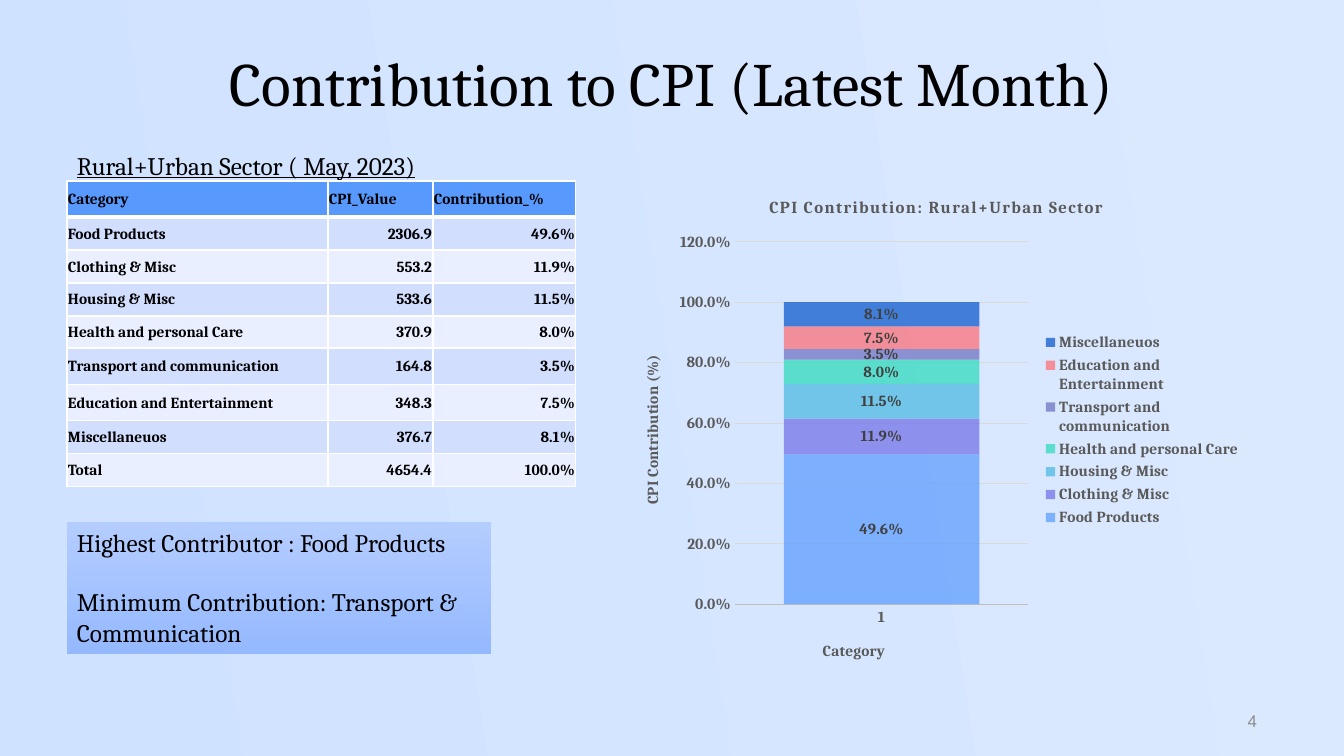
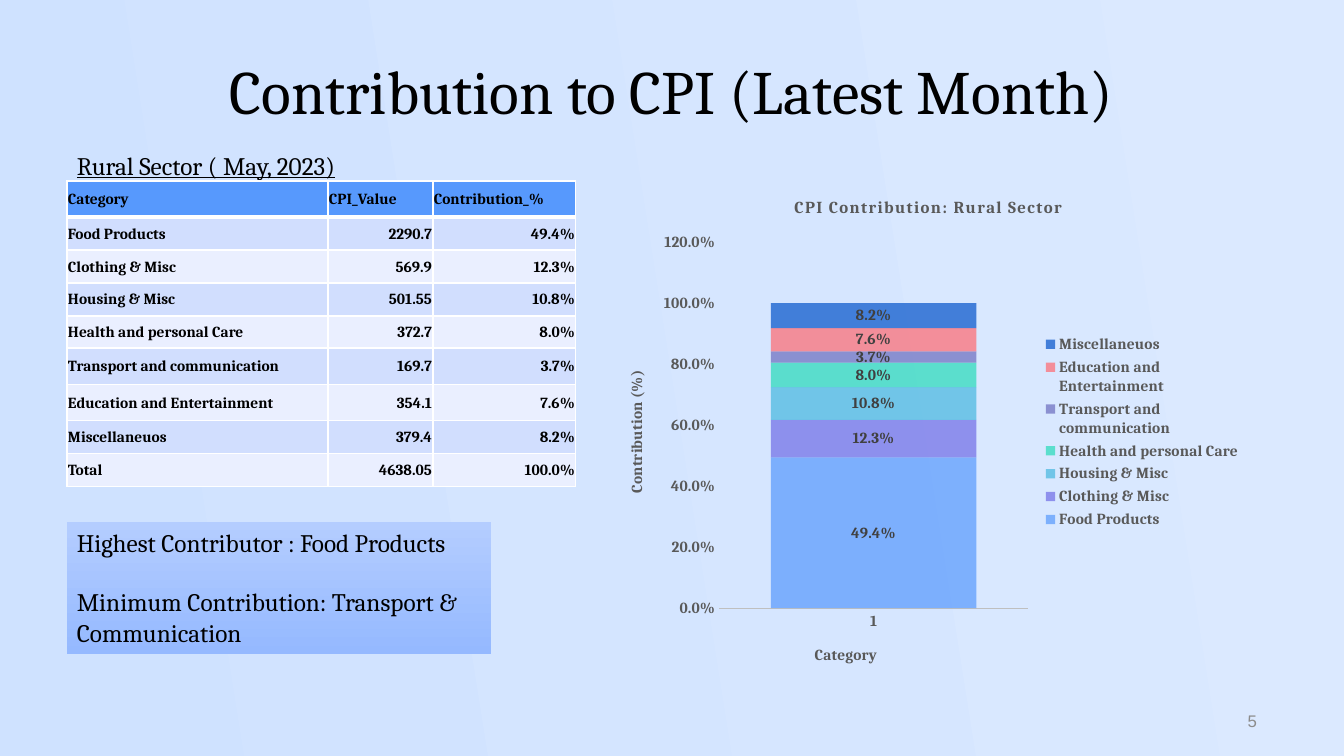
import dataclasses
import typing

import lxml.etree
import pptx
import pptx.chart.axis
import pptx.chart.data
import pptx.dml.color
import pptx.dml.fill
import pptx.enum.chart
import pptx.enum.shapes
import pptx.enum.text
import pptx.oxml
import pptx.oxml.ns
import pptx.slide
import pptx.table
import pptx.text.text
import pptx.util

SLIDE_WIDTH, SLIDE_HEIGHT = 1344, 756
EMU_PER_PX = 12192000 / SLIDE_WIDTH
ALIGN = pptx.enum.text.PP_ALIGN
ANCHOR = pptx.enum.text.MSO_ANCHOR


@dataclasses.dataclass(frozen=True)
class Theme:
    font: str = "Cambria"
    number_font: str = "Arial"
    text: str = "000000"
    chart_text: str = "595959"
    label_text: str = "404040"
    number_text: str = "8C8C8C"
    background: tuple[str, str] = ("CFE2FF", "DBE9FF")
    callout: tuple[str, str] = ("B4CDFF", "95B9FF")
    header: str = "5799FD"
    bands: tuple[str, str] = ("D1DEFE", "EAEFFF")
    border: str = "FFFFFF"
    axis_line: str = "BFBFBF"
    grid_line: str = "D9D9D9"
    title_size: int = 44
    body_size: int = 18
    chart_title_size: int = 12
    small_size: int = 11
    number_size: int = 12


THEME = Theme()


class Box(typing.NamedTuple):
    left: int
    top: int
    width: int
    height: int


class Category(typing.NamedTuple):
    name: str
    color: str


@dataclasses.dataclass(frozen=True)
class SectorSlide:
    number: int
    sector: str
    cpi_values: tuple[float, ...]
    shares: tuple[float, ...]
    total: float
    title_box: Box
    chart_box: Box
    value_axis_title: str
    gridlines: bool


CATEGORIES = (
    Category("Food Products", "5799FD"),
    Category("Clothing & Misc", "6F6CE6"),
    Category("Housing & Misc", "45B7DF"),
    Category("Health and personal Care", "26DAB8"),
    Category("Transport and communication", "6A6CBE"),
    Category("Education and Entertainment", "FF6970"),
    Category("Miscellaneuos", "0252CA"),
)
SECTORS = (
    SectorSlide(4, "Rural+Urban Sector",
                (2306.9, 553.2, 533.6, 370.9, 164.8, 348.3, 376.7),
                (0.496, 0.119, 0.115, 0.08, 0.035, 0.075, 0.081), 4654.4,
                Box(77, 40, 1190, 79), Box(621, 178, 631, 504), "CPI Contribution (%)", True),
    SectorSlide(5, "Rural Sector",
                (2290.7, 569.9, 501.55, 372.7, 169.7, 354.1, 379.4),
                (0.494, 0.123, 0.108, 0.08, 0.037, 0.076, 0.082), 4638.05,
                Box(67, 49, 1210, 78), Box(605, 178, 647, 508), "Contribution (%)", False),
)

SUBTITLE_BOX = Box(67, 145, 395, 33)
CALLOUT_BOX = Box(67, 522, 424, 132)
NUMBER_BOX = Box(965, 701, 302, 40)
TABLE_ORIGIN = (67, 181)
COLUMN_WIDTHS = (261, 105, 143)
ROW_HEIGHTS = (36, 33, 33, 33, 32, 37, 36, 33, 33)
CALLOUT_LINES = ("Highest Contributor : Food Products",
                 "Minimum Contribution: Transport & Communication")


def px(length: int) -> pptx.util.Emu:
    return pptx.util.Emu(round(length * EMU_PER_PX))


def place(box: Box) -> list[pptx.util.Emu]:
    return [px(length) for length in box]


def rgb(color: str) -> pptx.dml.color.RGBColor:
    return pptx.dml.color.RGBColor.from_string(color)


def apply_format(target: typing.Any, values: dict[str, typing.Any]) -> None:
    for name, value in values.items():
        setattr(target, name, value)


def style_font(font: pptx.text.text.Font, size: int, color: str, **values: typing.Any) -> None:
    apply_format(font, {"name": THEME.font, "size": pptx.util.Pt(size)} | values)
    font.color.rgb = rgb(color)


def fill_gradient(fill: pptx.dml.fill.FillFormat, colors: tuple[str, str], angle: int) -> None:
    fill.gradient()
    fill.gradient_angle = angle
    for position, (stop, color) in enumerate(zip(fill.gradient_stops, colors)):
        stop.position = position
        stop.color.rgb = rgb(color)


def add_text(slide: pptx.slide.Slide, box: Box, text: str, size: int, color: str = THEME.text,
             align: ALIGN = ALIGN.LEFT, frame_format: dict[str, typing.Any] | None = None,
             **font_values: typing.Any) -> None:
    frame = slide.shapes.add_textbox(*place(box)).text_frame
    apply_format(frame, {"word_wrap": True} | (frame_format or {}))
    paragraph = frame.paragraphs[0]
    paragraph.text = text
    paragraph.alignment = align
    style_font(paragraph.runs[0].font, size, color, **font_values)


def add_callout(slide: pptx.slide.Slide) -> None:
    shape = slide.shapes.add_shape(pptx.enum.shapes.MSO_SHAPE.RECTANGLE, *place(CALLOUT_BOX))
    shape.shadow.inherit = False
    shape.line.fill.background()
    fill_gradient(shape.fill, THEME.callout, 270)
    frame = shape.text_frame
    apply_format(frame, {"word_wrap": True, "vertical_anchor": ANCHOR.TOP})
    for index, line in enumerate(CALLOUT_LINES):
        paragraph = frame.add_paragraph() if index else frame.paragraphs[0]
        paragraph.text = line
        paragraph.alignment = ALIGN.LEFT
        if index:
            paragraph.space_before = pptx.util.Pt(21)
        style_font(paragraph.runs[0].font, THEME.body_size, THEME.text)


def set_borders(cell: pptx.table._Cell, widths: dict[str, int]) -> None:
    properties = cell._tc.get_or_add_tcPr()
    for side, width in widths.items():
        properties.append(pptx.oxml.parse_xml(
            f'<a:ln{side} {pptx.oxml.ns.nsdecls("a")} w="{pptx.util.Pt(width)}">'
            f'<a:solidFill><a:srgbClr val="{THEME.border}"/></a:solidFill></a:ln{side}>'))


def add_cpi_table(slide: pptx.slide.Slide, sector: SectorSlide) -> None:
    names = [category.name for category in CATEGORIES] + ["Total"]
    values = (*sector.cpi_values, sector.total)
    rows = [("Category", "CPI_Value", "Contribution_%")]
    rows += [(name, f"{value:g}", f"{share:.1%}")
             for name, value, share in zip(names, values, (*sector.shares, 1))]
    box = Box(*TABLE_ORIGIN, sum(COLUMN_WIDTHS), sum(ROW_HEIGHTS))
    table = slide.shapes.add_table(len(rows), len(COLUMN_WIDTHS), *place(box)).table
    for column, width in zip(table.columns, COLUMN_WIDTHS):
        column.width = px(width)
    for row, height in zip(table.rows, ROW_HEIGHTS):
        row.height = px(height)
    cell_format = {"vertical_anchor": ANCHOR.MIDDLE, "margin_left": px(1),
                   "margin_right": px(1), "margin_top": px(1), "margin_bottom": 0}
    for row_index, row in enumerate(rows):
        # The rule under the header is heavier than the others
        borders = {"L": 1, "R": 1, "T": 3 if row_index == 1 else 1,
                   "B": 3 if row_index == 0 else 1}
        for column_index, text in enumerate(row):
            cell = table.cell(row_index, column_index)
            apply_format(cell, cell_format)
            set_borders(cell, borders)
            cell.fill.solid()
            cell.fill.fore_color.rgb = rgb(
                THEME.bands[(row_index - 1) % 2] if row_index else THEME.header)
            paragraph = cell.text_frame.paragraphs[0]
            paragraph.text = text
            paragraph.alignment = ALIGN.RIGHT if row_index and column_index else ALIGN.LEFT
            style_font(paragraph.runs[0].font, THEME.small_size, THEME.text, bold=True)


def set_title(owner: typing.Any, text: str, size: int) -> pptx.text.text._Run:
    """Title a chart or an axis and return the title's run."""
    owner.has_title = True
    frame = owner.chart_title.text_frame if hasattr(owner, "chart_title") \
        else owner.axis_title.text_frame
    frame.text = text
    run = frame.paragraphs[0].runs[0]
    style_font(run.font, size, THEME.chart_text, bold=True)
    return run


def style_axis(axis: pptx.chart.axis._BaseAxis, title: str) -> None:
    tick = pptx.enum.chart.XL_TICK_MARK.NONE
    apply_format(axis, {"major_tick_mark": tick, "minor_tick_mark": tick,
                        "has_major_gridlines": False})
    style_font(axis.tick_labels.font, THEME.small_size, THEME.chart_text, bold=True)
    set_title(axis, title, THEME.small_size)


def add_share_chart(slide: pptx.slide.Slide, sector: SectorSlide) -> None:
    data = pptx.chart.data.CategoryChartData(number_format="0.0%")
    data.categories = ["1"]
    for category, share in zip(CATEGORIES, sector.shares):
        data.add_series(category.name, [share])
    chart = slide.shapes.add_chart(pptx.enum.chart.XL_CHART_TYPE.COLUMN_STACKED,
                                   *place(sector.chart_box), data).chart
    style_font(chart.font, THEME.small_size, THEME.text, bold=True)
    title_run = set_title(chart, f"CPI Contribution: {sector.sector}", THEME.chart_title_size)
    title_run.font._element.set("spc", "100")

    # Axes
    style_axis(chart.category_axis, "Category")
    chart.category_axis.format.line.color.rgb = rgb(THEME.axis_line)
    chart.category_axis.format.line.width = pptx.util.Pt(0.75)
    value_axis = chart.value_axis
    style_axis(value_axis, sector.value_axis_title)
    apply_format(value_axis, {"minimum_scale": 0, "maximum_scale": 1.2, "major_unit": 0.2,
                              "has_major_gridlines": sector.gridlines})
    apply_format(value_axis.tick_labels, {"number_format": "0.0%",
                                          "number_format_is_linked": False})
    value_axis.format.line.fill.background()
    if sector.gridlines:
        grid_line = value_axis.major_gridlines.format.line
        grid_line.color.rgb = rgb(THEME.grid_line)
        grid_line.width = pptx.util.Pt(0.75)

    # Legend
    chart.has_legend = True
    apply_format(chart.legend, {"position": pptx.enum.chart.XL_LEGEND_POSITION.RIGHT,
                                "include_in_layout": False})
    style_font(chart.legend.font, THEME.small_size, THEME.chart_text, bold=True)

    # Stacked bars, 70% opaque
    plot = chart.plots[0]
    apply_format(plot, {"gap_width": 50, "overlap": 100, "vary_by_categories": False})
    for series, category in zip(plot.series, CATEGORIES):
        series.format.fill.solid()
        series.format.fill.fore_color.rgb = rgb(category.color)
        color = series._element.spPr.find(".//" + pptx.oxml.ns.qn("a:srgbClr"))
        lxml.etree.SubElement(color, pptx.oxml.ns.qn("a:alpha"), val="70000")
        labels = series.data_labels
        apply_format(labels, {"show_value": True, "number_format": "0.0%",
                              "number_format_is_linked": False,
                              "position": pptx.enum.chart.XL_LABEL_POSITION.CENTER})
        style_font(labels.font, THEME.small_size, THEME.label_text, bold=True)


def add_sector_slide(presentation: typing.Any, sector: SectorSlide) -> None:
    slide = presentation.slides.add_slide(presentation.slide_layouts[6])
    no_margins = {f"margin_{side}": 0 for side in ("left", "top", "right", "bottom")}
    add_text(slide, sector.title_box, "Contribution to CPI (Latest Month)", THEME.title_size,
             align=ALIGN.CENTER, frame_format=no_margins | {"vertical_anchor": ANCHOR.BOTTOM})
    add_text(slide, SUBTITLE_BOX, f"{sector.sector} ( May, 2023)", THEME.body_size,
             underline=True)
    add_cpi_table(slide, sector)
    add_callout(slide)
    add_share_chart(slide, sector)
    add_text(slide, NUMBER_BOX, str(sector.number), THEME.number_size, THEME.number_text,
             ALIGN.RIGHT, {"vertical_anchor": ANCHOR.MIDDLE}, name=THEME.number_font)


def main() -> None:
    presentation = pptx.Presentation()
    apply_format(presentation, {"slide_width": px(SLIDE_WIDTH), "slide_height": px(SLIDE_HEIGHT)})
    # Shared background
    fill_gradient(presentation.slide_master.background.fill, THEME.background, 9)
    for sector in SECTORS:
        add_sector_slide(presentation, sector)
    presentation.save("out.pptx")


if __name__ == "__main__":
    main()
